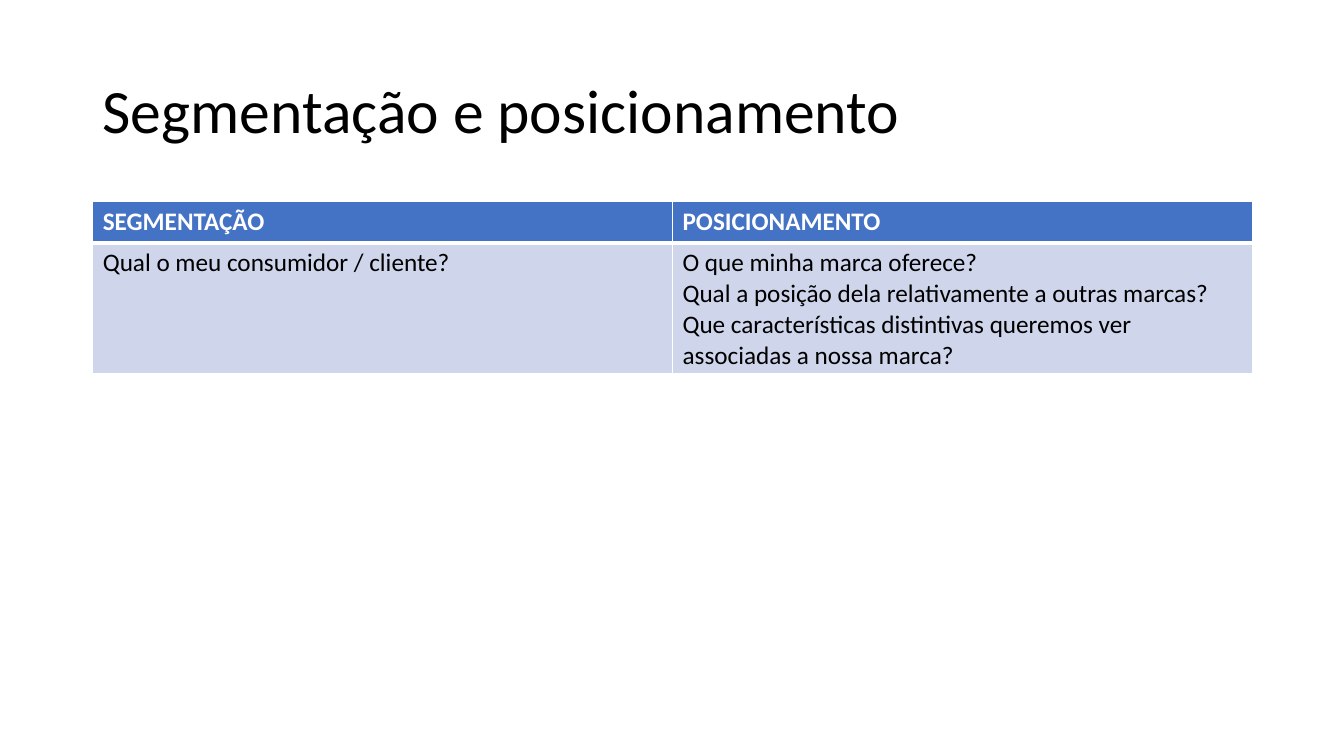
from lxml.etree import SubElement
from pptx import Presentation
from pptx.dml.color import RGBColor
from pptx.enum.text import MSO_ANCHOR
from pptx.oxml.ns import qn
from pptx.util import Inches, Pt

COLORS = {"header": "4472C4", "body": "CFD5EA", "white": "FFFFFF", "black": "000000"}
FONT = "Calibri"
TOPICS = {
    "SEGMENTAÇÃO": ["Qual o meu consumidor / cliente?"],
    "POSICIONAMENTO": [
        "O que minha marca oferece?",
        "Qual a posição dela relativamente a outras marcas?",
        "Que características distintivas queremos ver associadas a nossa marca?",
    ],
}
HEADER_HEIGHT = 0.41


def write_lines(frame, lines, size, color, bold=False):
    frame.text = "\n".join(lines)
    for paragraph in frame.paragraphs:
        for run in paragraph.runs:
            run.font.name = FONT
            run.font.size = Pt(size)
            run.font.bold = bold
            run.font.color.rgb = RGBColor.from_string(COLORS[color])


def add_heading(slide, box, wording):
    heading = slide.shapes.add_textbox(*map(Inches, box)).text_frame
    heading.word_wrap = True
    heading.vertical_anchor = MSO_ANCHOR.MIDDLE
    write_lines(heading, [wording], 44, "black")
    heading.paragraphs[0].line_spacing = 0.9


def style_cell(cell, fill, edges):
    properties = cell._tc.get_or_add_tcPr()
    for side, width in edges.items():
        edge = SubElement(properties, qn(f"a:ln{side}"), w=str(Pt(width)))
        paint = SubElement(edge, qn("a:solidFill"))
        SubElement(paint, qn("a:srgbClr"), val=COLORS["white"])
    cell.fill.solid()
    cell.fill.fore_color.rgb = RGBColor.from_string(COLORS[fill])


def add_topics(slide, box, topics):
    width, height = box[2:]
    grid = slide.shapes.add_table(2, len(topics), *map(Inches, box)).table
    grid.rows[0].height = Inches(HEADER_HEIGHT)
    grid.rows[1].height = Inches(height - HEADER_HEIGHT)
    for column, (topic, questions) in enumerate(topics.items()):
        grid.columns[column].width = Inches(width / len(topics))
        header, body = grid.cell(0, column), grid.cell(1, column)
        write_lines(header.text_frame, [topic], 18, "white", bold=True)
        write_lines(body.text_frame, questions, 18, "black")
        style_cell(header, "header", {"L": 1, "R": 1, "T": 1, "B": 3})
        style_cell(body, "body", {"L": 1, "R": 1, "T": 3, "B": 1})


def main():
    deck = Presentation()
    deck.slide_width, deck.slide_height = Inches(13.33), Inches(7.5)
    slide = deck.slides.add_slide(deck.slide_layouts[6])
    left, width = 0.92, 11.5
    add_heading(slide, (left, 0.4, width, 1.45), "Segmentação e posicionamento")
    add_topics(slide, (left, 2, width, 1.71), TOPICS)
    deck.save("out.pptx")


if __name__ == "__main__":
    main()
